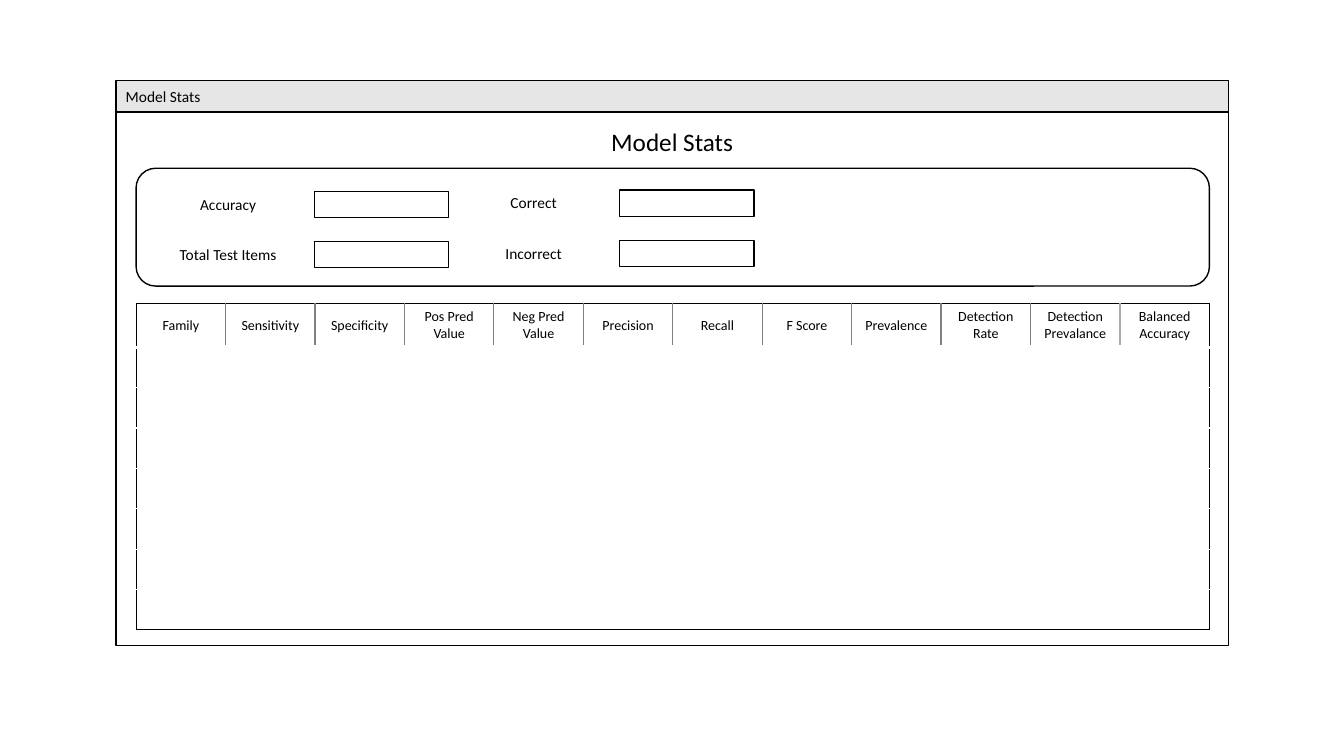
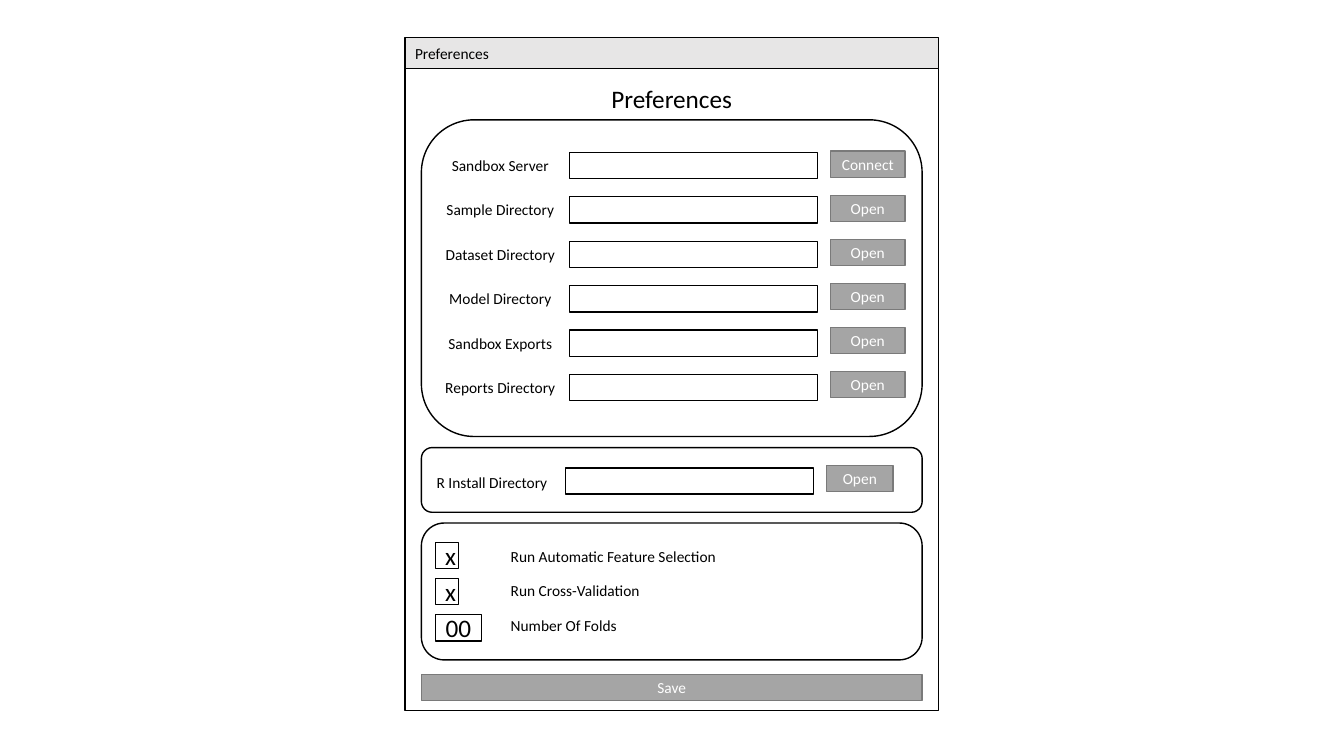
"""Builds two window mock-ups: model statistics and preferences."""
from dataclasses import dataclass

from lxml.etree import SubElement
from pptx import Presentation
from pptx.dml.color import RGBColor
from pptx.enum.shapes import MSO_SHAPE
from pptx.enum.text import MSO_ANCHOR, MSO_AUTO_SIZE, PP_ALIGN
from pptx.oxml.ns import qn
from pptx.util import Cm, Pt


@dataclass(frozen=True)
class Theme:
    font: str = "Calibri"
    ink: str = "000000"
    paper: str = "FFFFFF"
    bar: str = "E7E6E6"
    button: str = "A5A5A5"
    button_edge: str = "7A7A7A"
    divider: str = "808080"
    light_divider: str = "AFABAB"
    title_size: int = 18
    body_size: int = 11
    header_size: int = 10
    line_width: int = 1
    header_rule: int = 3


THEME = Theme()

STATS_TITLE = "Model Stats"
STATS_COLUMNS = [
    ("Accuracy", "Total Test Items"),
    ("Correct", "Incorrect"),
]
METRICS = [
    "Family", "Sensitivity", "Specificity", "Pos Pred Value",
    "Neg Pred Value", "Precision", "Recall", "F Score", "Prevalence",
    "Detection Rate", "Detection Prevalance", "Balanced Accuracy",
]
EMPTY_ROWS = 7

PREFERENCES_TITLE = "Preferences"
LOCATIONS = [
    ("Sandbox Server", "Connect"),
    ("Sample Directory", "Open"),
    ("Dataset Directory", "Open"),
    ("Model Directory", "Open"),
    ("Sandbox Exports", "Open"),
    ("Reports Directory", "Open"),
]
INSTALL = ("R Install Directory", "Open")
OPTIONS = [
    ("x", "Run Automatic Feature Selection", 0.58),
    ("x", "Run Cross-Validation", 0.58),
    ("00", "Number Of Folds", 1.17),
]
SAVE = "Save"

BAR_HEIGHT = 0.79
FIELD_HEIGHT = 0.66
LABEL_HEIGHT = 0.74


def rgb(value):
    return RGBColor.from_string(value)


def write(frame, text, size, color, align):
    frame.text = text
    paragraph = frame.paragraphs[0]
    paragraph.alignment = align
    for run in paragraph.runs:
        run.font.name = THEME.font
        run.font.size = Pt(size)
        run.font.color.rgb = rgb(color)


def add_label(slide, text, left, top, width, height=LABEL_HEIGHT,
              size=THEME.body_size, align=PP_ALIGN.CENTER):
    label = slide.shapes.add_textbox(Cm(left), Cm(top), Cm(width), Cm(height))
    frame = label.text_frame
    frame.word_wrap = True
    frame.auto_size = MSO_AUTO_SIZE.SHAPE_TO_FIT_TEXT
    write(frame, text, size, THEME.ink, align)


def add_box(slide, left, top, width, height=FIELD_HEIGHT, text="",
            kind=MSO_SHAPE.RECTANGLE, fill=THEME.paper, edge=THEME.ink,
            color=THEME.ink, size=THEME.body_size):
    box = slide.shapes.add_shape(kind, Cm(left), Cm(top), Cm(width), Cm(height))
    box.shadow.inherit = False
    box.fill.solid()
    box.fill.fore_color.rgb = rgb(fill)
    box.line.color.rgb = rgb(edge)
    box.line.width = Pt(THEME.line_width)
    if text:
        box.text_frame.vertical_anchor = MSO_ANCHOR.MIDDLE
        write(box.text_frame, text, size, color, PP_ALIGN.CENTER)


def add_panel(slide, left, top, width, height):
    add_box(slide, left, top, width, height, kind=MSO_SHAPE.ROUNDED_RECTANGLE)


def add_button(slide, text, left, top, width):
    add_box(slide, left, top, width, text=text, fill=THEME.button,
            edge=THEME.button_edge, color=THEME.paper)


def add_window(deck, title, left, top, width, body_height):
    slide = deck.slides.add_slide(deck.slide_layouts[6])
    add_box(slide, left, top + BAR_HEIGHT, width, body_height)
    add_box(slide, left, top, width, BAR_HEIGHT, fill=THEME.bar)
    add_label(slide, title, left, top + 0.05, 3.98, align=PP_ALIGN.LEFT)
    add_label(slide, title, left, top + 1.04, width, 1.02, THEME.title_size)
    return slide


def set_borders(cell, borders):
    properties = cell._tc.get_or_add_tcPr()
    for side, (color, width) in zip("LRTB", borders):
        line = SubElement(properties, qn(f"a:ln{side}"), w=str(Pt(width)))
        fill = SubElement(line, qn("a:solidFill"))
        SubElement(fill, qn("a:srgbClr"), val=color)


def cell_borders(row, column):
    last = len(METRICS) - 1

    def side(edge):
        if edge in (0, last + 1):
            return THEME.ink, THEME.line_width
        if row:
            return THEME.paper, THEME.line_width
        shade = THEME.light_divider if edge == last else THEME.divider
        return shade, THEME.line_width

    top = THEME.paper if row else THEME.ink
    bottom = THEME.ink if row == EMPTY_ROWS else THEME.paper
    rule = THEME.line_width if row else THEME.header_rule
    return (side(column), side(column + 1),
            (top, THEME.line_width), (bottom, rule))


def add_metrics(slide, left, top, width, height):
    frame = slide.shapes.add_table(EMPTY_ROWS + 1, len(METRICS),
                                   Cm(left), Cm(top), Cm(width), Cm(height))
    table = frame.table
    table.horz_banding = False
    for column in table.columns:
        column.width = Cm(width) // len(METRICS)
    for index, row in enumerate(table.rows):
        row.height = Cm(0.97 if index else 0.99)
        for position, cell in enumerate(row.cells):
            set_borders(cell, cell_borders(index, position))
            cell.fill.solid()
            cell.fill.fore_color.rgb = rgb(THEME.paper)
    for cell, metric in zip(table.rows[0].cells, METRICS):
        cell.vertical_anchor = MSO_ANCHOR.MIDDLE
        write(cell.text_frame, metric, THEME.header_size, THEME.ink,
              PP_ALIGN.CENTER)
        cell.text_frame.paragraphs[0].runs[0].font.bold = False
    frame.height = Cm(height)


def build_stats(deck):
    slide = add_window(deck, STATS_TITLE, 2.92, 2.03, 28.04, 13.44)
    left, width = 3.43, 27.05
    add_metrics(slide, left, 7.65, width, 8.15)
    add_panel(slide, left, 4.24, width, 2.97)
    for column, names in enumerate(STATS_COLUMNS):
        for row, name in enumerate(names):
            x = 4.11 + 7.7 * column
            y = 4.78 + 1.27 * row - 0.03 * column
            add_label(slide, name, x, y, 3.28)
            add_box(slide, x + 3.81, y + 0.04, 3.38)


def build_preferences(deck):
    slide = add_window(deck, PREFERENCES_TITLE, 10.21, 0.94, 13.44, 16.18)
    left, width, field_width = 10.62, 12.62, 6.25
    for top, height in ((3.02, 7.98), (11.28, 1.63), (13.18, 3.45)):
        add_panel(slide, left, top, width, height)

    for row, (name, action) in enumerate(LOCATIONS):
        top = 3.81 + 1.12 * row
        add_label(slide, name, 10.97, top, 3.28)
        add_box(slide, 14.35, top + 0.03, field_width)
        add_button(slide, action, 20.93, 3.81 + 1.11 * row, 1.88)

    name, action = INSTALL
    add_label(slide, name, left, 11.79, 3.56)
    add_box(slide, 14.25, 11.79, field_width)
    add_button(slide, action, 20.83, 11.73, 1.68)

    for row, (value, name, value_width) in enumerate(OPTIONS):
        add_box(slide, 10.97, 13.67 + 0.91 * row, value_width, text=value,
                size=THEME.title_size)
        add_label(slide, name, 12.62, 13.65 + 0.88 * row, 6.12,
                  align=PP_ALIGN.LEFT)
    add_button(slide, SAVE, left, 16.99, width)


def main():
    deck = Presentation()
    deck.slide_width, deck.slide_height = Cm(33.87), Cm(19.05)
    build_stats(deck)
    build_preferences(deck)
    deck.save("out.pptx")


main()
